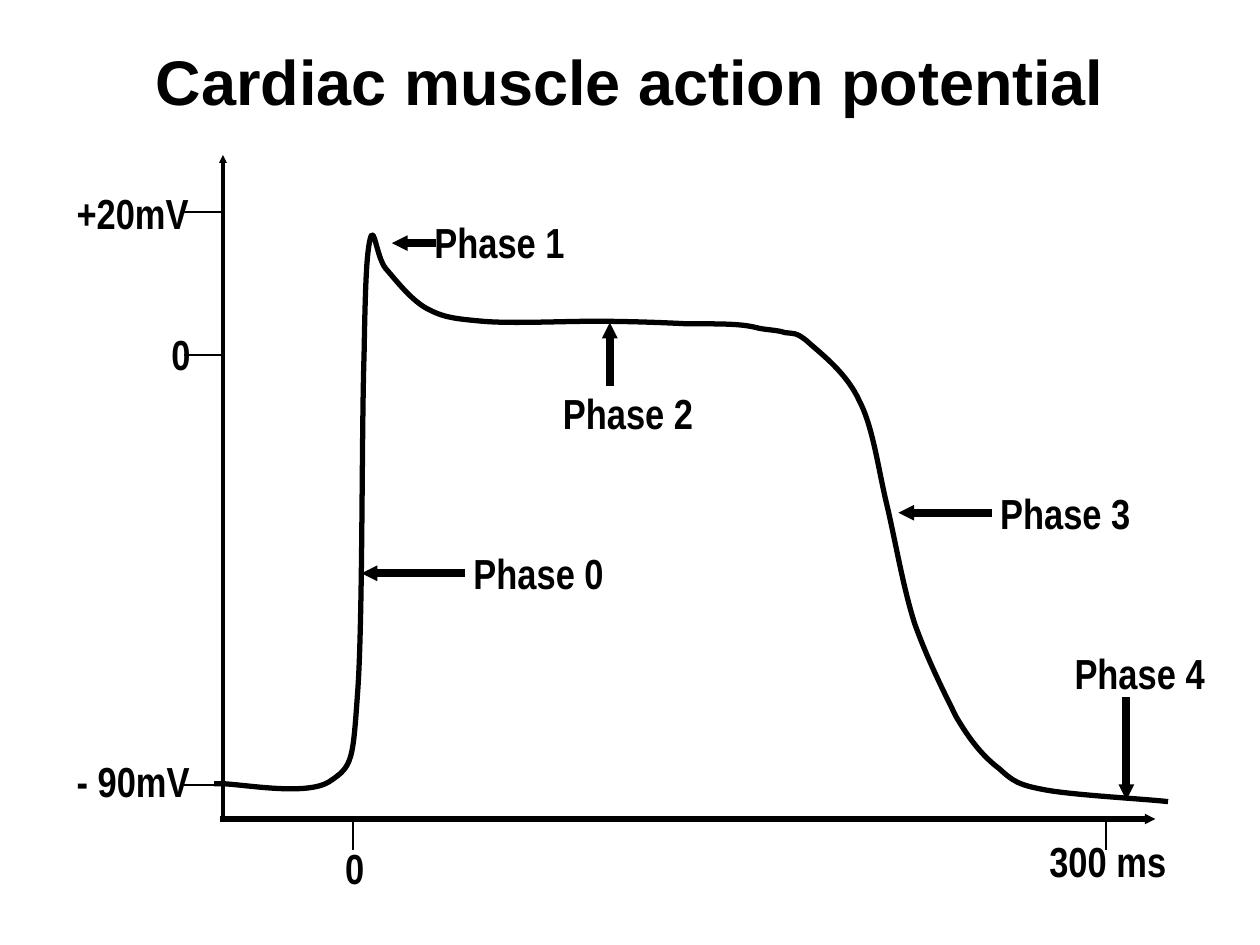
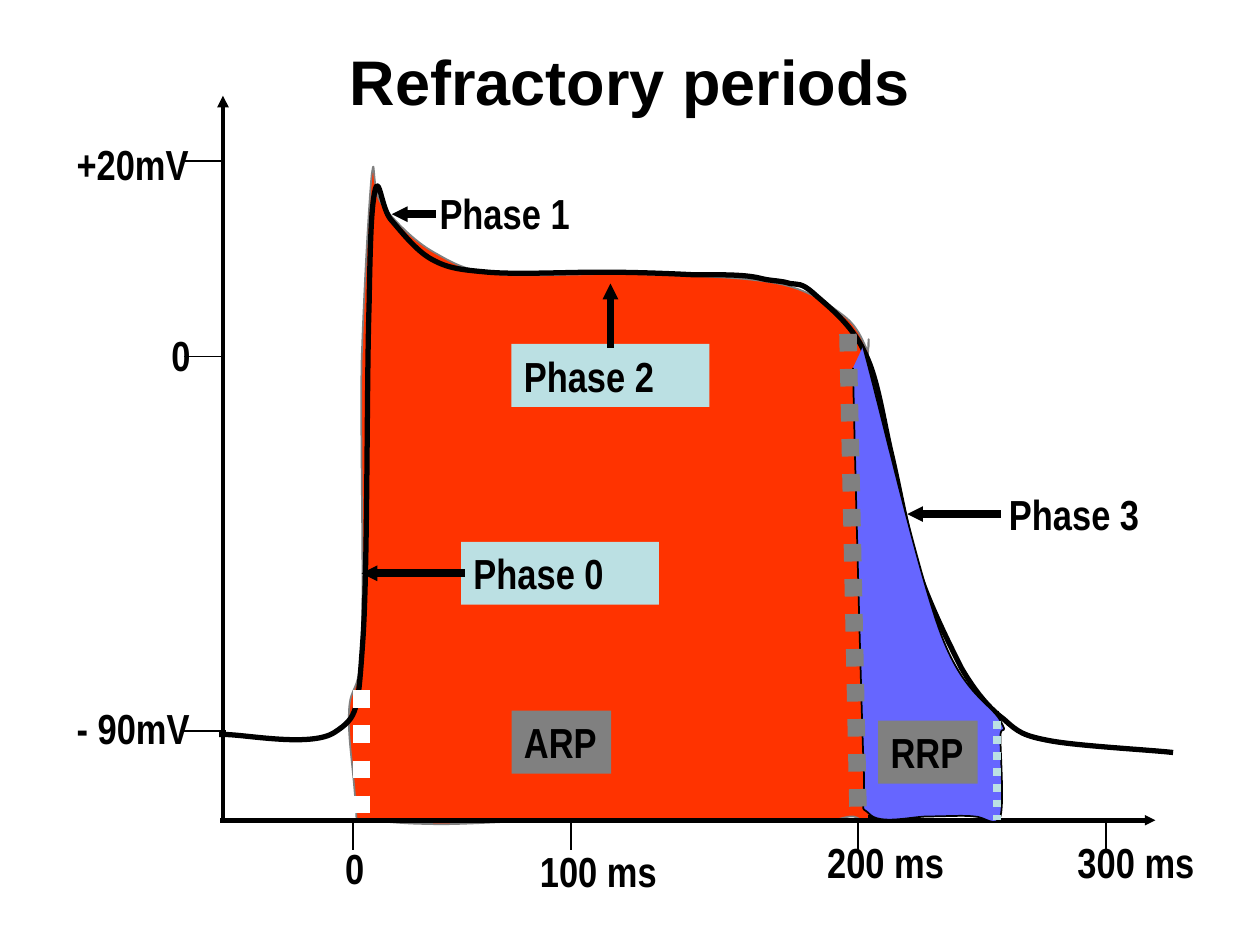
"""Build two slides on the cardiac action potential and its refractory periods."""
from dataclasses import dataclass

from lxml.etree import SubElement
from pptx import Presentation
from pptx.dml.color import RGBColor
from pptx.enum.dml import MSO_LINE
from pptx.enum.shapes import MSO_CONNECTOR, MSO_SHAPE
from pptx.enum.text import MSO_ANCHOR, PP_ALIGN
from pptx.oxml.ns import qn
from pptx.util import Inches, Pt


@dataclass(frozen=True)
class Theme:
    """Colours, line weights and type styles."""

    ink: str = "000000"
    white: str = "FFFFFF"
    grey: str = "808080"
    pale: str = "BBE0E3"
    red: str = "FF3300"
    blue: str = "6666FF"
    thin: float = 1
    axis: float = 2.25
    bold: float = 3
    arrow: float = 4.5
    boundary: float = 10
    title_font = {"name": "Arial", "size": Pt(36), "bold": True}
    label_font = {"name": "Arial Narrow", "size": Pt(24), "bold": True}


THEME = Theme()
LEFT, CENTER, RIGHT = PP_ALIGN.LEFT, PP_ALIGN.CENTER, PP_ALIGN.RIGHT

presentation = Presentation()
presentation.slide_width = Inches(10)
presentation.slide_height = Inches(7.5)
COLUMN = presentation.slide_width // 100
ROW = presentation.slide_height // 75

AXIS_X, AXIS_END, TICK_END = 17.7, 91.7, 67.4
LABEL_WIDTH, TAG_WIDTH, VALUE_WIDTH, LABEL_HEIGHT = 15.7, 7.9, 11, 5

POTENTIAL = [
    (17.2, 62.2), (18.7, 62.1), (24.3, 63.3), (26.2, 62), (28, 60.8), (28, 60.4),
    (28.4, 54.8), (28.8, 49.1), (28.7, 34.2), (28.9, 28.2), (29, 22.3), (29.1, 20.1),
    (29.4, 18.9), (29.7, 17.8), (29.9, 20.4), (30.6, 21.3), (31.4, 22.2), (32.6, 23.8),
    (33.9, 24.5), (35.2, 25.2), (36.1, 25.3), (38.3, 25.5), (40.6, 25.7), (44.5, 25.5),
    (47.2, 25.5), (49.9, 25.5), (52.6, 25.6), (54.5, 25.7), (56.5, 25.7), (57.8, 25.7),
    (58.8, 25.8), (59.8, 25.9), (59.9, 26), (60.5, 26.1), (61.1, 26.2), (61.7, 26.2),
    (62.3, 26.4), (62.9, 26.5), (63.2, 26.3), (64.2, 27.2), (65.2, 28.1), (67.2, 29.6),
    (68.2, 31.8), (69.3, 33.9), (69.7, 37.2), (70.4, 40.1), (71.1, 43.1), (71.7, 46.7),
    (72.6, 49.5), (73.6, 52.3), (74.9, 54.9), (75.9, 56.9), (77, 58.8), (78.1, 60.1),
    (79.3, 61), (80.4, 62), (80.8, 62.3), (83, 62.7), (85.2, 63.1), (90.6, 63.4),
    (92.5, 63.6),
]
ABSOLUTE_PERIOD = [
    (28.3, 65), (28.1, 61), (27.6, 58.8), (27.7, 56.5), (27.8, 54.1), (28.6, 55.4),
    (28.7, 50.8), (28.9, 46.2), (28.6, 35), (28.7, 28.8), (28.9, 22.7), (29.3, 16),
    (29.5, 13.9), (29.8, 11.8), (29.5, 15.2), (30.3, 16.2), (31.1, 17.3), (32.8, 19.1),
    (34.4, 20), (36, 20.9), (36.9, 21.5), (39.8, 21.8), (42.6, 22), (47.9, 21.6),
    (51.6, 21.8), (55.2, 21.9), (59.1, 22), (61.7, 22.5), (64.2, 23), (65.7, 24.1),
    (66.9, 25), (68.1, 25.9), (68.4, 26.9), (68.8, 27.7), (69.1, 28.5), (68.9, 24.4),
    (68.9, 29.6), (68.9, 34.8), (68.9, 52.9), (68.9, 58.8), (68.9, 64.6), (69.2, 63.8),
    (69, 64.8), (68.7, 65.8), (68.3, 64.7), (67.5, 64.8), (66.7, 64.9), (66.5, 65.2),
    (64.4, 65.2), (62.2, 65.2), (58.5, 65), (54.6, 65), (50.7, 65), (43.3, 65.2),
    (41, 65.2), (38.8, 65.2), (42.4, 65.2), (41.2, 65.2), (40.1, 65.2), (36.1, 65.5),
    (34, 65.4), (31.8, 65.4), (29.5, 65.1), (28.3, 65),
]
RELATIVE_PERIOD = [
    (67.7, 29.2), (67.8, 34.2), (68.3, 53.7), (68.5, 59.6), (68.8, 65.5), (68.1, 63.7),
    (69, 64.6), (69.8, 65.5), (72.4, 64.8), (73.7, 64.8), (75.1, 64.8), (76.4, 64.7),
    (77.3, 64.8), (78.2, 64.8), (79, 65.8), (79.4, 64.8), (79.7, 63.8), (79.4, 59.8),
    (79.4, 58.5), (79.4, 57.3), (80.1, 58.6), (79.4, 57.2), (78.6, 55.8), (76.4, 55.1),
    (74.6, 50.1), (72.8, 45.2), (69.8, 32.2), (68.5, 27.5),
]

SLIDES = [
    {
        "title": "Cardiac muscle action potential",
        "shift": (0, 0), "axis_top": 12.3, "axis_head": "sm", "baseline": 65,
        "voltages": [("- 90mV", 17.9, 62.3, 59.5, LEFT), ("0", 17.8, 28.2, 25.6, RIGHT),
                     ("+20mV", 17.7, 16.8, 14.4, LEFT)],
        "times": [("0", 28, 26.4, 66.4, LEFT), ("300 ms", 87.8, 82.3, 65.8, LEFT)],
        "phases": [("Phase 0", 36.6, 43, None, 1, (28.7, 45.3)),
                   ("Phase 1", 33.5, 16.7, None, (34.3, 19.3), (31.1, 19.3)),
                   ("Phase 2", 43.7, 30.3, None, (48.4, 30.3), (48.4, 25.6)),
                   ("Phase 3", 78.4, 38.2, None, 1, (71.3, 40.6)),
                   ("Phase 4", 84.3, 50.9, None, (89.4, 55.6), (89.4, 63.5))],
        "absolute": [], "relative": [], "tags": [], "edges": [], "boundaries": [],
    },
    {
        "title": "Refractory periods",
        "shift": (0.4, -3.9), "axis_top": 7.6, "axis_head": "med", "baseline": 65.1,
        "voltages": [("- 90mV", 17.9, 58, 55.3, LEFT), ("0", 17.8, 28.3, 25.7, RIGHT),
                     ("+20mV", 17.7, 12.8, 10.5, LEFT)],
        "times": [("0", 28, 26.4, 66.4, LEFT), ("100 ms", 45.3, 37.4, 66.6, RIGHT),
                  ("200 ms", 68.1, 60.2, 65.9, RIGHT), ("300 ms", 87.8, 82.3, 65.9, CENTER)],
        "phases": [("Phase 0", 36.6, 43, THEME.pale, 1, (28.7, 45.4)),
                   ("Phase 1", 33.9, 14.4, None, (34.3, 17), (31.1, 17)),
                   ("Phase 2", 40.6, 27.3, THEME.pale, 0, (48.4, 22.5)),
                   ("Phase 3", 79.1, 38.3, None, 1, (72, 40.7))],
        "absolute": ABSOLUTE_PERIOD, "relative": RELATIVE_PERIOD,
        "tags": [("ARP", 40.6, 56.4), ("RRP", 69.7, 57.2)],
        "edges": [((69.1, 29.6), (69.1, 65.1)), ((79.1, 56.4), (79.1, 65.1))],
        "boundaries": [((28.7, 54.8), (28.7, 65.1), THEME.boundary, THEME.white),
                       ((67.3, 26.5), (68.1, 64.3), THEME.boundary, THEME.grey),
                       ((79.1, 57.2), (79.1, 65.1), THEME.arrow, THEME.pale)],
    },
]


def draw_line(slide, start, end, weight, color=THEME.ink, head=None, dotted=False):
    """Draw a straight line between two grid points."""
    connector = slide.shapes.add_connector(
        MSO_CONNECTOR.STRAIGHT,
        *(round(value) for value in (start[0] * COLUMN, start[1] * ROW, end[0] * COLUMN, end[1] * ROW)),
    )
    connector.line.color.rgb = RGBColor.from_string(color)
    connector.line.width = Pt(weight)
    properties = connector._element.spPr
    outline = properties.find(qn("a:ln"))
    if dotted:
        connector.line.dash_style = MSO_LINE.ROUND_DOT
    else:
        outline.set("cap", "sq")
    if head:
        SubElement(outline, qn("a:tailEnd"), type="triangle", w=head, len=head)
    SubElement(properties, qn("a:effectLst"))
    return connector


def draw_curve(slide, knots, weight, color=THEME.ink, fill=None, shift=(0, 0)):
    """Draw a chain of cubic curves, each with two control points and an end."""
    points = [((x + shift[0]) * COLUMN, (y + shift[1]) * ROW) for x, y in knots]
    builder = slide.shapes.build_freeform(*points[0])
    builder.add_line_segments(points[1:], close=points[0] == points[-1])
    shape = builder.convert_to_shape()
    outline_path = next(shape._element.iter(qn("a:path")))
    segments = outline_path.findall(qn("a:lnTo"))
    for group in zip(segments[::3], segments[1::3], segments[2::3]):
        curve = SubElement(outline_path, qn("a:cubicBezTo"))
        group[0].addprevious(curve)
        for segment in group:
            curve.append(segment[0])
            outline_path.remove(segment)
    shape.shadow.inherit = False
    shape.line.color.rgb = RGBColor.from_string(color)
    shape.line.width = Pt(weight)
    if fill:
        shape.fill.solid()
        shape.fill.fore_color.rgb = RGBColor.from_string(fill)
    else:
        shape.fill.background()
        shape._element.spPr.find(qn("a:ln")).set("cap", "sq")


for content in SLIDES:
    slide = presentation.slides.add_slide(presentation.slide_layouts[5])
    title = slide.shapes.title
    box = {"left": 5 * COLUMN, "top": 3 * ROW, "width": 90 * COLUMN, "height": round(6.8 * ROW)}
    for name, value in box.items():
        setattr(title, name, value)
    title.text_frame.text = content["title"]
    title.text_frame.vertical_anchor = MSO_ANCHOR.MIDDLE
    paragraph = title.text_frame.paragraphs[0]
    paragraph.alignment = CENTER
    for name, value in THEME.title_font.items():
        setattr(paragraph.font, name, value)
    paragraph.font.color.rgb = RGBColor.from_string(THEME.ink)

    if content["absolute"]:
        draw_curve(slide, content["absolute"], THEME.thin, THEME.grey, THEME.red)
    draw_curve(slide, POTENTIAL, THEME.bold, shift=content["shift"])

    baseline = content["baseline"]
    origin = (AXIS_X, baseline)
    draw_line(slide, origin, (AXIS_X, content["axis_top"]), THEME.axis, head=content["axis_head"])
    draw_line(slide, origin, (AXIS_END, baseline), THEME.bold, head="sm")

    labels = []
    for text, start, tick, top, alignment in content["voltages"]:
        draw_line(slide, (start, tick), (14.7, tick), THEME.thin)
        labels.append((text, 5.1, top, VALUE_WIDTH, alignment, None))
    for text, tick, left, top, alignment in content["times"]:
        draw_line(slide, (tick, baseline), (tick, TICK_END), THEME.thin)
        width = VALUE_WIDTH if text == "0" else LABEL_WIDTH
        labels.append((text, left, top, width, alignment, None))
    for text, left, top, fill, start, tip in content["phases"]:
        labels.append((text, left, top, LABEL_WIDTH, LEFT, fill))
    for text, left, top in content["tags"]:
        labels.append((text, left, top, TAG_WIDTH, LEFT, THEME.grey))

    for start, end in content["edges"]:
        draw_line(slide, start, end, THEME.bold, dotted=True)
    if content["relative"]:
        draw_curve(slide, content["relative"], THEME.thin, fill=THEME.blue)

    label_boxes = {}
    for text, left, top, width, alignment, fill in labels:
        frame = [round(value) for value in (left * COLUMN, top * ROW, width * COLUMN, LABEL_HEIGHT * ROW)]
        if fill:
            shape = slide.shapes.add_shape(MSO_SHAPE.RECTANGLE, *frame)
            shape.shadow.inherit = False
            shape.line.fill.background()
            shape.fill.solid()
            shape.fill.fore_color.rgb = RGBColor.from_string(fill)
        else:
            shape = slide.shapes.add_textbox(*frame)
        label_boxes[text] = shape
        shape.text_frame.word_wrap = True
        shape.text_frame.vertical_anchor = MSO_ANCHOR.TOP
        shape.text_frame.text = text
        paragraph = shape.text_frame.paragraphs[0]
        paragraph.alignment = alignment
        for name, value in THEME.label_font.items():
            setattr(paragraph.font, name, value)
        paragraph.font.color.rgb = RGBColor.from_string(THEME.ink)

    for text, left, top, fill, start, tip in content["phases"]:
        joined = isinstance(start, int)
        arrow = draw_line(slide, tip if joined else start, tip, THEME.arrow, head="sm")
        if joined:
            arrow.begin_connect(label_boxes[text], start)
            if start == 1:
                arrow.end_y = arrow.begin_y
            else:
                arrow.end_x = arrow.begin_x
    for start, end, weight, color in content["boundaries"]:
        draw_line(slide, start, end, weight, color, dotted=True)

presentation.save("out.pptx")
